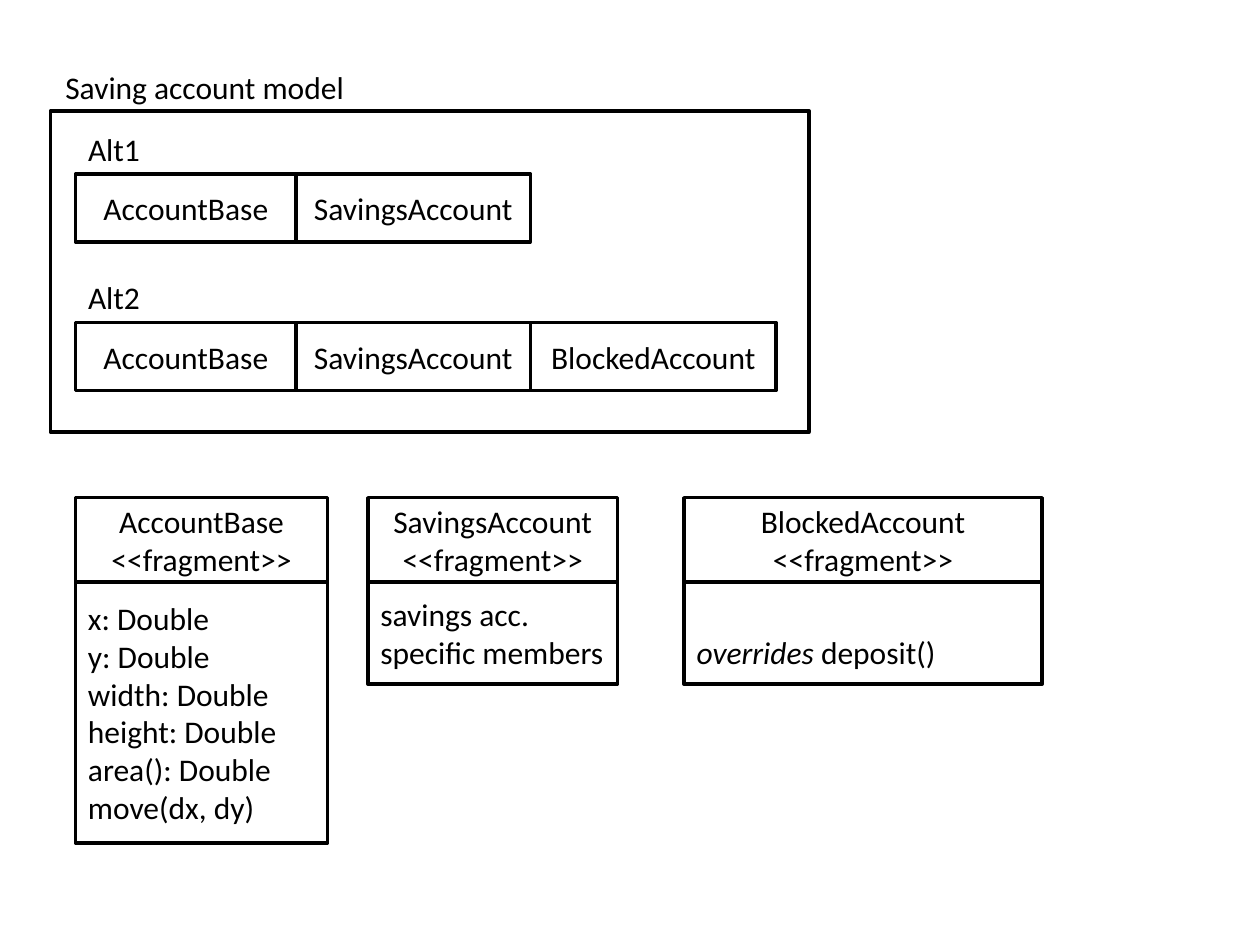
from pptx import Presentation, util as u
from pptx.dml.color import RGBColor
from pptx.enum import shapes, text

INK, PAPER = "000000", "FFFFFF"
LEFT = 0.6
WIDTHS = {"AccountBase": 1.75, "SavingsAccount": 1.86, "BlockedAccount": 1.95}


def color(fmt, code):
    fmt.rgb = RGBColor.from_string(code)


def write(frame, lines, align="LEFT", font="Calibri", size=18, ink=INK):
    """Fill a frame; a line is a string or a list of (words, italic) runs."""
    for i, line in enumerate(lines):
        para = frame.paragraphs[0] if i == 0 else frame.add_paragraph()
        para.alignment = getattr(text.PP_ALIGN, align)
        runs = [(line, False)] if isinstance(line, str) else line
        for words, slant in runs:
            run = para.add_run()
            run.text = words
            run.font.name = font
            run.font.size = u.Pt(size)
            run.font.italic = slant
            color(run.font.color, ink)


def label(slide, words, x, y, w):
    box = slide.shapes.add_textbox(*map(u.Inches, (x, y, w, 0.4)))
    box.text_frame.word_wrap = False
    box.text_frame.auto_size = text.MSO_AUTO_SIZE.SHAPE_TO_FIT_TEXT
    write(box.text_frame, [words])


def block(slide, x, y, w, h, lines=(), align="CENTER", top=0.05):
    """Draw an outlined box with its text in the middle."""
    box = slide.shapes.add_shape(
        shapes.MSO_SHAPE.RECTANGLE, *map(u.Inches, (x, y, w, h)))
    box.shadow.inherit = False
    box.fill.solid()
    color(box.fill.fore_color, PAPER)
    color(box.line.color, INK)
    box.line.width = u.Pt(2)
    frame = box.text_frame
    frame.word_wrap = True
    frame.vertical_anchor = text.MSO_ANCHOR.MIDDLE
    frame.margin_top = u.Inches(top)
    write(frame, lines, align)


def chain(slide, title, names, y):
    """Draw one alternative: a label above a row of joined fragments."""
    label(slide, title, LEFT, y - 0.4, 0.62)
    x = LEFT
    for name in names:
        block(slide, x, y, WIDTHS[name], 0.54, [name])
        x += WIDTHS[name]


def card(slide, name, x, w, h, lines, top=0.05):
    """Draw a class: a header over a list of members."""
    y, head = 3.95, 0.67
    block(slide, x, y + head, w, h, lines, "LEFT", top)
    block(slide, x, y, w, head, [name, "<<fragment>>"])


def main():
    deck = Presentation()
    deck.slide_width, deck.slide_height = u.Inches(10), u.Inches(7.5)
    slide = deck.slides.add_slide(deck.slide_layouts[6])
    base, saving, blocked = WIDTHS

    # Model with its two alternatives
    block(slide, 0.4, 0.88, 6.02, 2.55)
    label(slide, "Saving account model", 0.42, 0.49, 2.46)
    chain(slide, "Alt1", [base, saving], 1.38)
    chain(slide, "Alt2", [base, saving, blocked], 2.56)

    # Fragment classes
    card(slide, base, LEFT, 2, 2.07, [
        "x: Double", "y: Double", "width: Double", "height: Double",
        "area(): Double", "move(dx, dy)"])
    card(slide, saving, 2.92, 1.98, 0.81,
         ["savings acc.", "specific members"])
    card(slide, blocked, 5.43, 2.84, 0.81,
         [[("overrides", True), (" deposit()", False)]], top=0.35)

    deck.save("out.pptx")


if __name__ == "__main__":
    main()
